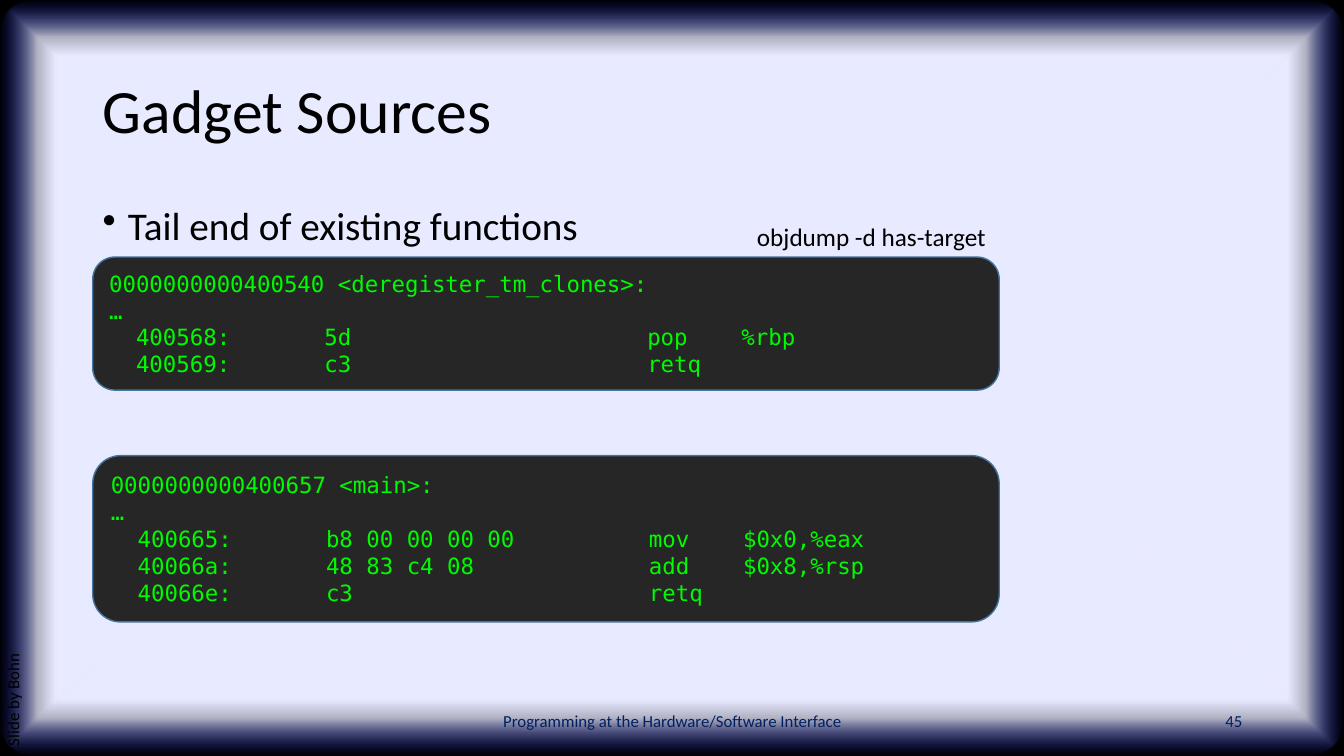
from lxml import etree
from pptx import Presentation
from pptx.dml.color import RGBColor
from pptx.enum.shapes import MSO_SHAPE
from pptx.enum.text import MSO_ANCHOR, MSO_AUTO_SIZE, PP_ALIGN
from pptx.oxml import parse_xml
from pptx.oxml.ns import nsdecls, qn
from pptx.util import Inches, Pt

COLORS = {
    "text": "000000",
    "edge": "000000",
    "footer": "002060",
    "code_fill": "262626",
    "code_line": "43739E",
    "code_text": "00FA00",
    "glow_inner": "E8EAFF",
    "glow_outer": "162AFF",
}
BODY_FONT = "Calibri"
CODE_FONT = "DejaVu Sans Mono"
# Position, colour and opacity, all in percent
GLOW_STOPS = [(85, "glow_inner", 100), (90, "glow_inner", 75), (100, "glow_outer", 0)]

DEREGISTER_CODE = [
    "0000000000400540 <deregister_tm_clones>:",
    "…",
    "  400568:       5d                      pop    %rbp",
    "  400569:       c3                      retq",
]
MAIN_CODE = [
    "0000000000400657 <main>:",
    "…",
    "  400665:       b8 00 00 00 00          mov    $0x0,%eax",
    "  40066a:       48 83 c4 08             add    $0x8,%rsp",
    "  40066e:       c3                      retq",
]


def color(name):
    return RGBColor.from_string(COLORS[name])


def style(para, size, color_name="text", font=BODY_FONT, align=PP_ALIGN.LEFT):
    para.alignment = align
    para.font.name = font
    para.font.size = Pt(size)
    para.font.color.rgb = color(color_name)


def add_panel(page, kind, left, top, width, height, fill_name):
    panel = page.shapes.add_shape(
        kind, Inches(left), Inches(top), Inches(width), Inches(height))
    panel.shadow.inherit = False
    panel.fill.solid()
    panel.fill.fore_color.rgb = color(fill_name)
    panel.line.fill.background()
    return panel


def set_glow(panel):
    """Fade the panel's fill from the middle towards its edges."""
    stops = "".join(
        f'<a:gs pos="{position * 1000}"><a:srgbClr val="{COLORS[name]}">'
        f'<a:alpha val="{opacity * 1000}"/></a:srgbClr></a:gs>'
        for position, name, opacity in GLOW_STOPS)
    gradient = parse_xml(
        f'<a:gradFill {nsdecls("a")} rotWithShape="1"><a:gsLst>{stops}</a:gsLst>'
        '<a:path path="shape"><a:fillToRect l="50000" t="50000" r="50000" b="50000"/>'
        '</a:path></a:gradFill>')
    solid = panel.element.spPr.find(qn("a:solidFill"))
    solid.getparent().replace(solid, gradient)


def add_backdrop(page):
    add_panel(page, MSO_SHAPE.RECTANGLE, 0, 0, 13.33, 7.5, "edge")
    glow = add_panel(page, MSO_SHAPE.ROUNDED_RECTANGLE, 0, 0, 13.33, 7.5, "glow_inner")
    glow.adjustments[0] = 0.048
    set_glow(glow)
    return glow


def place_title(page, backdrop, text):
    title = page.shapes.title
    backdrop.element.addnext(title.element)
    title.left, title.top = Inches(0.92), Inches(0.4)
    title.width, title.height = Inches(11.5), Inches(1.45)
    title.text_frame.text = text
    title.text_frame.auto_size = MSO_AUTO_SIZE.NONE
    title.text_frame.vertical_anchor = MSO_ANCHOR.MIDDLE
    para = title.text_frame.paragraphs[0]
    para.line_spacing = 0.9
    style(para, 44)


def add_text(page, text, left, top, width, height, size, color_name="text",
             align=PP_ALIGN.LEFT, anchor=MSO_ANCHOR.TOP, wrap=True):
    box = page.shapes.add_textbox(
        Inches(left), Inches(top), Inches(width), Inches(height))
    box.text_frame.word_wrap = wrap
    box.text_frame.vertical_anchor = anchor
    para = box.text_frame.paragraphs[0]
    para.text = text
    style(para, size, color_name, align=align)
    return box


def add_bullet_text(page, text):
    box = add_text(page, text, 0.92, 2, 11.5, 4.76, 28)
    para = box.text_frame.paragraphs[0]
    para.line_spacing = 0.9
    properties = para._p.get_or_add_pPr()
    properties.set("marL", str(Inches(0.25)))
    properties.set("indent", str(Inches(-0.25)))
    bullet = etree.Element(qn("a:buChar"), char="•")
    properties.find(qn("a:lnSpc")).addnext(bullet)


def add_code(page, lines, top, height):
    panel = add_panel(page, MSO_SHAPE.ROUNDED_RECTANGLE, 0.92, top, 8.99, height,
                      "code_fill")
    panel.line.color.rgb = color("code_line")
    panel.line.width = Pt(1)
    frame = panel.text_frame
    frame.vertical_anchor = MSO_ANCHOR.MIDDLE
    frame.text = "\n".join(lines)
    for para in frame.paragraphs:
        style(para, 16, "code_text", CODE_FONT)


def main():
    deck = Presentation()
    deck.slide_width, deck.slide_height = Inches(13.33), Inches(7.5)
    page = deck.slides.add_slide(deck.slide_layouts[5])

    # Backdrop and title
    backdrop = add_backdrop(page)
    place_title(page, backdrop, "Gadget Sources")
    add_bullet_text(page, "Tail end of existing functions")

    # Footer, page number and credit
    add_text(page, "Programming at the Hardware/Software Interface", 4.42, 6.95, 4.5, 0.4,
             12, "footer", PP_ALIGN.CENTER, MSO_ANCHOR.MIDDLE)
    add_text(page, "45", 9.42, 6.95, 3, 0.4, 12, "footer", PP_ALIGN.RIGHT,
             MSO_ANCHOR.MIDDLE)
    credit = add_text(page, "Slide by Bohn", -2.44, 4.66, 5.28, 0.4, 12)
    credit.text_frame.paragraphs[0].line_spacing = 0.9
    credit.rotation = 270

    # Disassembly listings
    command = add_text(page, "objdump -d has-target", 7.41, 2.15, 2.5, 0.4, 18, wrap=False)
    command.text_frame.auto_size = MSO_AUTO_SIZE.SHAPE_TO_FIT_TEXT
    add_code(page, DEREGISTER_CODE, 2.55, 1.32)
    add_code(page, MAIN_CODE, 4.52, 1.65)

    deck.save("out.pptx")


if __name__ == "__main__":
    main()
